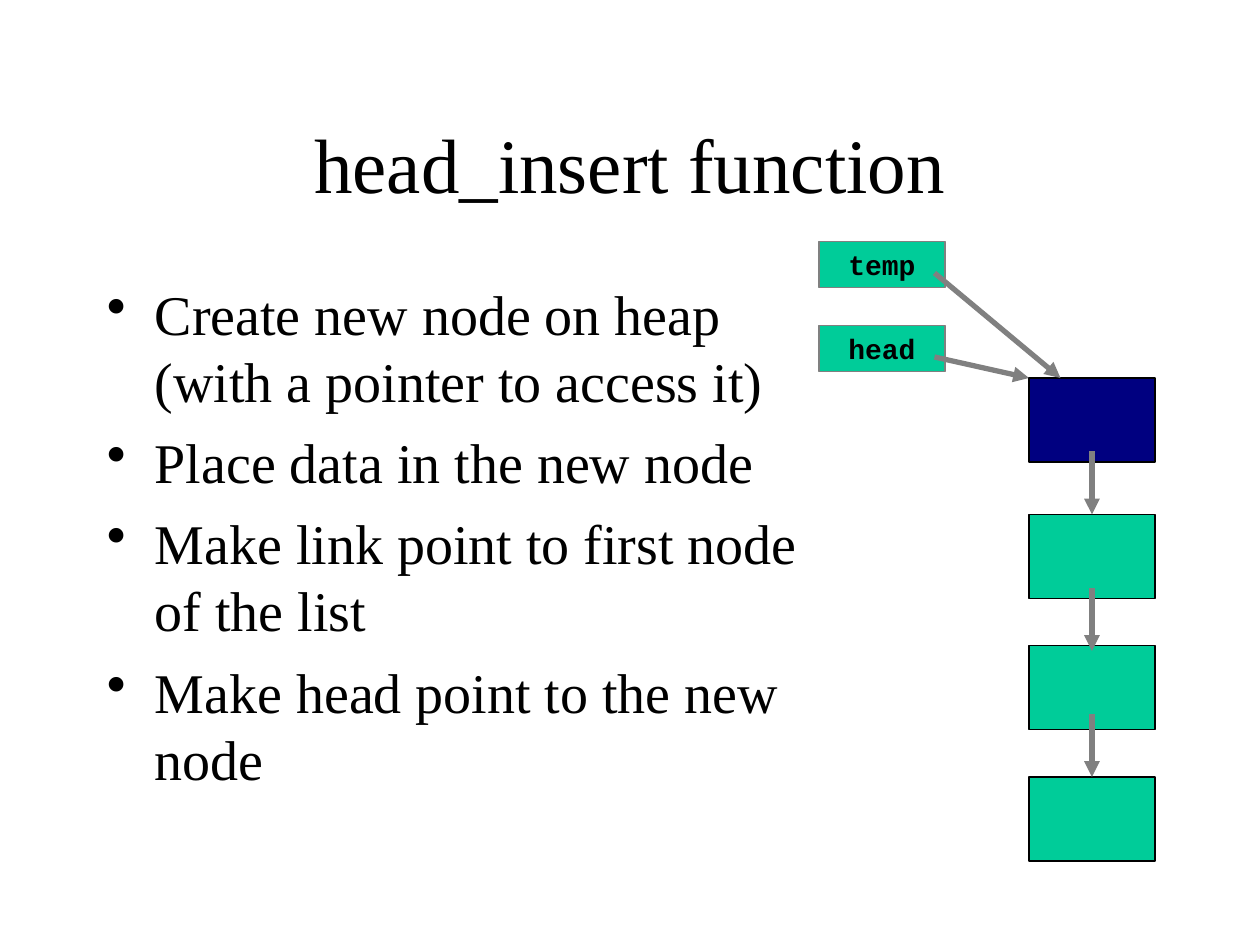
"""Build the head_insert slide: steps on the left, a linked list on the right."""
from dataclasses import dataclass
from typing import Optional

import lxml.etree
import pptx
import pptx.dml.color
import pptx.enum.shapes
import pptx.enum.text
import pptx.oxml.ns
import pptx.util

BLACK = pptx.dml.color.RGBColor(0x00, 0x00, 0x00)
GREEN = pptx.dml.color.RGBColor(0x00, 0xCC, 0x99)
GREY = pptx.dml.color.RGBColor(0x80, 0x80, 0x80)
NAVY = pptx.dml.color.RGBColor(0x00, 0x00, 0x80)
SERIF, MONO = "Times New Roman", "Courier New"
COLS, ROWS = 120, 90
WIDE, HIGH = pptx.util.Inches(10), pptx.util.Inches(7.5)
NODE_X, NODE_Y, STEP = 98, 49, 12.5
STEPS = (
    "Create new node on heap (with a pointer to access it)",
    "Place data in the new node",
    "Make link point to first node of the list",
    "Make head point to the new node",
)


@dataclass(frozen=True)
class Box:
    """A rectangle placed in grid columns and rows."""
    col: float
    row: float
    wide: float = 12
    high: float = 8
    fill: pptx.dml.color.RGBColor = GREEN
    edge: pptx.dml.color.RGBColor = BLACK
    text: str = ""


@dataclass(frozen=True)
class Arrow:
    """An arrow between two grid points, which may end on a shape."""
    x1: float
    y1: float
    x2: float
    y2: float
    goal: Optional[pptx.shapes.autoshape.Shape] = None


def across(cols: float) -> int:
    """Turn grid columns into a length."""
    return round(WIDE * cols / COLS)


def down(rows: float) -> int:
    """Turn grid rows into a length."""
    return round(HIGH * rows / ROWS)


def place(box: Box) -> tuple[int, int, int, int]:
    """Give the left, top, width and height of a box."""
    return across(box.col), down(box.row), across(box.wide), down(box.high)


def style(para: pptx.text.text._Paragraph, face: str, size: int, bold: bool = False) -> None:
    """Set the font of a paragraph."""
    font = para.font
    font.name, font.size, font.bold = face, pptx.util.Pt(size), bold
    font.color.rgb = BLACK


def add_box(slide: pptx.slide.Slide, box: Box) -> pptx.shapes.autoshape.Shape:
    """Draw a node or a named pointer."""
    kind = pptx.enum.shapes.MSO_SHAPE.RECTANGLE
    shape = slide.shapes.add_shape(kind, *place(box))
    shape.shadow.inherit = False
    shape.fill.solid()
    shape.fill.fore_color.rgb = box.fill
    shape.line.color.rgb = box.edge
    shape.line.width = pptx.util.Pt(0.75)
    if box.text:
        para = shape.text_frame.paragraphs[0]
        para.text = box.text
        para.alignment = pptx.enum.text.PP_ALIGN.CENTER
        style(para, MONO, 16, True)
    return shape


def add_arrow(slide: pptx.slide.Slide, arrow: Arrow) -> None:
    """Draw a grey arrow."""
    line = slide.shapes.add_connector(
        pptx.enum.shapes.MSO_CONNECTOR.STRAIGHT,
        across(arrow.x1), down(arrow.y1), across(arrow.x2), down(arrow.y2))
    if arrow.goal is not None:
        line.end_connect(arrow.goal, 0)
    line.line.color.rgb = GREY
    line.line.width = pptx.util.Pt(3)
    name = pptx.oxml.ns.qn
    lxml.etree.SubElement(line.line._get_or_add_ln(), name("a:tailEnd"), type="triangle")
    lxml.etree.SubElement(line._element.spPr, name("a:effectLst"))


def add_text(slide: pptx.slide.Slide, box: Box) -> pptx.text.text.TextFrame:
    """Add a wrapped text box and give its frame."""
    frame = slide.shapes.add_textbox(*place(box)).text_frame
    frame.word_wrap = True
    return frame


def add_title(slide: pptx.slide.Slide) -> None:
    """Add the centred title."""
    frame = add_text(slide, Box(9, 8, 102, 15))
    frame.vertical_anchor = pptx.enum.text.MSO_ANCHOR.MIDDLE
    para = frame.paragraphs[0]
    para.text = "head_insert function"
    para.alignment = pptx.enum.text.PP_ALIGN.CENTER
    style(para, SERIF, 44)


def add_steps(slide: pptx.slide.Slide) -> None:
    """Add the bulleted steps."""
    frame = add_text(slide, Box(9, 26, 73, 54))
    dent = pptx.util.Inches(0.38)
    for rank, step in enumerate(STEPS):
        para = frame.add_paragraph() if rank else frame.paragraphs[0]
        para.text = step
        props = para._p.get_or_add_pPr()
        props.set("marL", str(dent))
        props.set("indent", str(-dent))
        lxml.etree.SubElement(props, pptx.oxml.ns.qn("a:buChar"), char="•")
        if rank:
            para.space_before = pptx.util.Pt(8)
        style(para, SERIF, 32)


def add_list(slide: pptx.slide.Slide) -> None:
    """Draw the linked list with its pointers."""
    nodes = [add_box(slide, Box(NODE_X, NODE_Y + STEP * rank)) for rank in range(3)]
    mid = NODE_X + 6
    add_box(slide, Box(78, 31, high=4.4, edge=GREY, text="head"))
    for arrow in (Arrow(89, 34, NODE_X, 36), Arrow(mid, 56, mid, 62),
                  Arrow(mid, 68, mid, 74, nodes[2])):
        add_arrow(slide, arrow)
    add_box(slide, Box(NODE_X, 36, fill=NAVY))
    add_box(slide, Box(78, 23, high=4.4, edge=GREY, text="temp"))
    for arrow in (Arrow(89, 26, 101, 36), Arrow(mid, 43, mid, 49, nodes[0])):
        add_arrow(slide, arrow)


def main() -> None:
    """Build and save the slide."""
    deck = pptx.Presentation()
    deck.slide_width, deck.slide_height = WIDE, HIGH
    slide = deck.slides.add_slide(deck.slide_layouts[6])
    add_title(slide)
    add_steps(slide)
    add_list(slide)
    deck.save("out.pptx")


if __name__ == "__main__":
    main()
